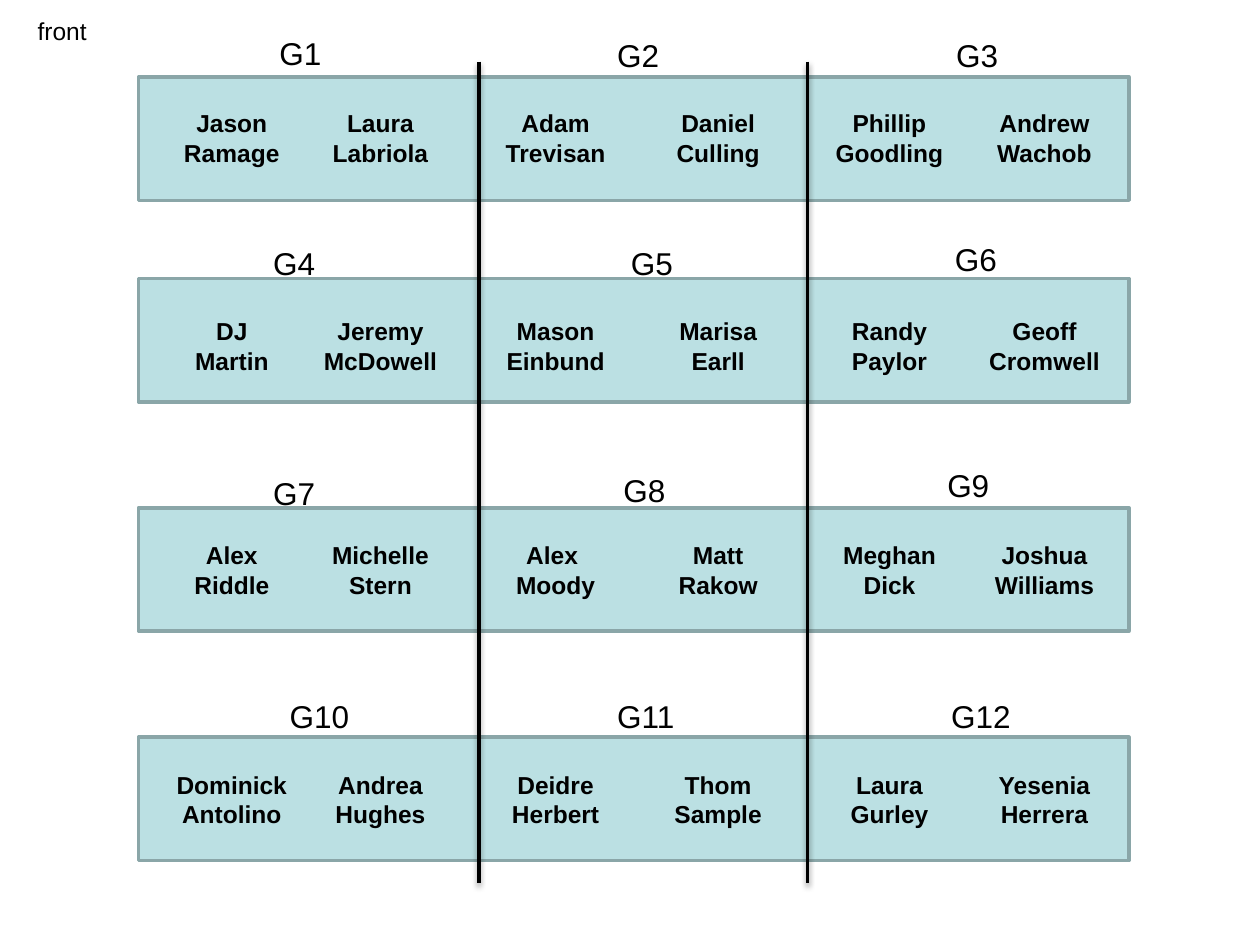
from lxml import etree
from pptx import Presentation
from pptx.dml.color import RGBColor
from pptx.enum.shapes import MSO_CONNECTOR, MSO_SHAPE
from pptx.enum.text import MSO_AUTO_SIZE, PP_ALIGN
from pptx.oxml.ns import qn
from pptx.util import Inches, Pt

RECT, STRAIGHT = MSO_SHAPE.RECTANGLE, MSO_CONNECTOR.STRAIGHT
LEFT, CENTER = PP_ALIGN.LEFT, PP_ALIGN.CENTER
FIT = MSO_AUTO_SIZE.SHAPE_TO_FIT_TEXT
BLACK = RGBColor(0, 0, 0)
TABLE_FILL = RGBColor(0xBB, 0xE0, 0xE3)
TABLE_EDGE = RGBColor(0x8A, 0xA6, 0xA8)

ROWS = [
    {"table": 0.61, "seats": 0.81,
     "groups": [("G1", 2.12, 0.22), ("G2", 4.8, 0.24), ("G3", 7.49, 0.24)],
     "students": [("Jason\nRamage", 0.96), ("Laura\nLabriola", 0.96),
                  ("Adam\nTrevisan", 1.0), ("Daniel\nCulling", 0.86),
                  ("Phillip\nGoodling", 1.06), ("Andrew\nWachob", 0.96)]},
    {"table": 2.21, "seats": 2.46,
     "groups": [("G4", 2.07, 1.89), ("G5", 4.91, 1.89), ("G6", 7.48, 1.86)],
     "students": [("DJ\nMartin", 0.79), ("Jeremy\nMcDowell", 1.1),
                  ("Mason\nEinbund", 0.98), ("Marisa\nEarll", 0.82),
                  ("Randy\nPaylor", 0.8), ("Geoff\nCromwell", 1.09)]},
    {"table": 4.03, "seats": 4.24,
     "groups": [("G7", 2.07, 3.71), ("G8", 4.85, 3.69), ("G9", 7.42, 3.65)],
     "students": [("Alex\nRiddle", 0.8), ("Michelle\nStern", 0.97),
                  ("Alex \nMoody", 0.83), ("Matt\nRakow", 0.83),
                  ("Meghan\nDick", 0.94), ("Joshua\nWilliams", 1.0)]},
    {"table": 5.85, "seats": 6.06,
     "groups": [("G10", 2.2, 5.48), ("G11", 4.8, 5.48), ("G12", 7.45, 5.48)],
     "students": [("Dominick\nAntolino", 1.08), ("Andrea\nHughes", 0.92),
                  ("Deidre\nHerbert", 0.9), ("Thom\nSample", 0.9),
                  ("Laura\nGurley", 0.82), ("Yesenia\nHerrera", 0.93)]},
]
SEAT_CENTERS = [1.84, 3.02, 4.41, 5.7, 7.06, 8.29]
AISLES = [3.8, 6.41]
AISLE_TOP, AISLE_BOTTOM = 0.49, 7.01
TABLE_LEFT, TABLE_WIDTH, TABLE_HEIGHT = 1.1, 7.86, 0.98

prs = Presentation()
prs.slide_width, prs.slide_height = Inches(10), Inches(7.5)
slide = prs.slides.add_slide(prs.slide_layouts[6])


def add_text(text, left, top, width, height, size=14, bold=False, align=LEFT):
    box = slide.shapes.add_textbox(*map(Inches, (left, top, width, height)))
    frame = box.text_frame
    frame.word_wrap = False
    frame.auto_size = FIT
    frame.text = text
    for paragraph in frame.paragraphs:
        paragraph.alignment = align
        font = paragraph.runs[0].font
        font.name, font.size, font.bold = "Arial", Pt(size), bold
        font.color.rgb = BLACK


def add_table_top(top):
    table = slide.shapes.add_shape(
        RECT, *map(Inches, (TABLE_LEFT, top, TABLE_WIDTH, TABLE_HEIGHT)))
    table.shadow.inherit = False
    table.fill.solid()
    table.fill.fore_color.rgb = TABLE_FILL
    table.line.color.rgb = TABLE_EDGE
    table.line.width = Pt(2)


def add_aisle(x):
    aisle = slide.shapes.add_connector(
        STRAIGHT, *map(Inches, (x, AISLE_TOP, x, AISLE_BOTTOM)))
    aisle.line.color.rgb = BLACK
    aisle.line.width = Pt(2)
    effects = etree.SubElement(aisle._element.spPr, qn("a:effectLst"))
    shadow = etree.SubElement(effects, qn("a:outerShdw"), blurRad=str(Pt(3.1)),
                              dist=str(Pt(1.6)), dir="5400000", rotWithShape="0")
    color = etree.SubElement(shadow, qn("a:srgbClr"), val=str(BLACK))
    etree.SubElement(color, qn("a:alpha"), val="38000")


for row in ROWS:
    add_table_top(row["table"])
for row in ROWS:
    for (student, width), center in zip(row["students"], SEAT_CENTERS):
        add_text(student, center - width / 2, row["seats"], width, 0.57,
                 bold=True, align=CENTER)
for x in AISLES:
    add_aisle(x)
for row in ROWS:
    for group, left, top in row["groups"]:
        add_text(group, left, top, 0.54 if len(group) == 2 else 0.68, 0.4, size=18)
add_text("front", 0.2, 0.08, 0.59, 0.34)

prs.save("out.pptx")
